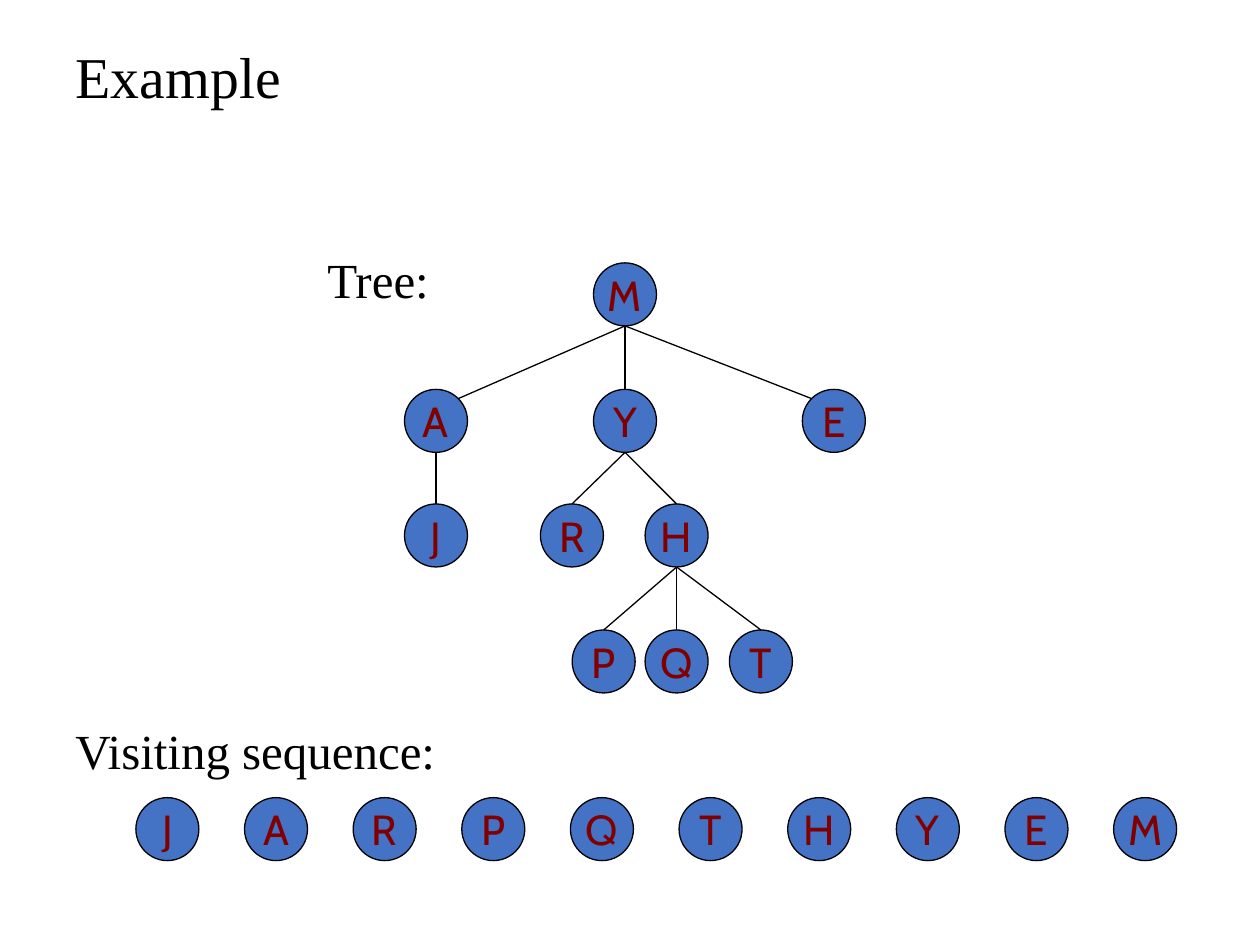
"""Build a slide showing a tree and the order in which its nodes are visited."""
from dataclasses import dataclass

from pptx import Presentation
from pptx import util as u
from pptx.dml import color
from pptx.enum import shapes, text
from pptx.oxml import ns, xmlchemy


@dataclass(frozen=True)
class Theme:
    """Colours, fonts and sizes used on the slide."""
    ink: color.RGBColor = color.RGBColor(0, 0, 0)
    node_fill: color.RGBColor = color.RGBColor(0x44, 0x72, 0xC4)
    node_text: color.RGBColor = color.RGBColor(0x80, 0, 0)
    text_font: str = "Times New Roman"
    node_font: str = "Cabin"
    title_size: int = 33
    label_size: int = 28
    node_size: int = 24
    line_width: float = 0.75


THEME = Theme()
DIAMETER = 1.27
RADIUS = DIAMETER / 2
DIAGONAL = RADIUS * 0.5 ** 0.5
ROW_TOPS = (5.3, 7.85, 10.16, 12.7)
TREE = {
    "M": (12.6, 0, "AYE"),
    "A": (8.79, 1, "J"),
    "Y": (12.6, 1, "RH"),
    "E": (16.81, 1, ""),
    "J": (8.79, 2, ""),
    "R": (11.53, 2, ""),
    "H": (13.64, 2, "PQT"),
    "P": (12.17, 3, ""),
    "Q": (13.64, 3, ""),
    "T": (15.34, 3, ""),
}
SEQUENCE = "JARPQTHYEM"
SEQUENCE_LEFT, SEQUENCE_TOP, SEQUENCE_STEP = 2.74, 16.08, 2.19


def add_span(para, wording, font, size, ink):
    """Add one formatted run to a paragraph."""
    span = para.add_run()
    span.text = wording
    span.font.name = font
    span.font.size = u.Pt(size)
    span.font.color.rgb = ink


def add_title(page, wording):
    """Place and fill the title placeholder."""
    box = page.shapes.title
    box.left, box.top, box.width, box.height = map(u.Cm, (1.27, 0.43, 22.86, 2.34))
    box.text_frame.vertical_anchor = text.MSO_ANCHOR.MIDDLE
    para = box.text_frame.paragraphs[0]
    para.alignment = text.PP_ALIGN.LEFT
    para.line_spacing = 0.9
    add_span(para, wording, THEME.text_font, THEME.title_size, THEME.ink)


def add_label(page, wording, left, top, width):
    """Add a text label."""
    box = page.shapes.add_textbox(u.Cm(left), u.Cm(top), u.Cm(width), u.Cm(1.4))
    box.text_frame.word_wrap = True
    add_span(box.text_frame.paragraphs[0], wording,
             THEME.text_font, THEME.label_size, THEME.ink)


def add_node(page, letter, left, top):
    """Add a lettered circle."""
    node = page.shapes.add_shape(shapes.MSO_SHAPE.OVAL, u.Cm(left), u.Cm(top),
                                 u.Cm(DIAMETER), u.Cm(DIAMETER))
    node.shadow.inherit = False
    node.fill.solid()
    node.fill.fore_color.rgb = THEME.node_fill
    node.line.color.rgb = THEME.ink
    node.line.width = u.Pt(THEME.line_width)
    node.text_frame.word_wrap = False
    node.text_frame.vertical_anchor = text.MSO_ANCHOR.MIDDLE
    para = node.text_frame.paragraphs[0]
    para.alignment = text.PP_ALIGN.CENTER
    add_span(para, letter, THEME.node_font, THEME.node_size, THEME.node_text)


def add_edge(page, parent, child):
    """Join the foot of a parent to the top of its child, or to its near shoulder if far aside."""
    start_x, parent_row, _ = TREE[parent]
    end_x, child_row, _ = TREE[child]
    end_y = ROW_TOPS[child_row]
    offset = end_x - start_x
    if abs(offset) > 2 * DIAMETER:
        end_x -= DIAGONAL if offset > 0 else -DIAGONAL
        end_y += RADIUS - DIAGONAL
    edge = page.shapes.add_connector(
        shapes.MSO_CONNECTOR.STRAIGHT, u.Cm(start_x),
        u.Cm(ROW_TOPS[parent_row] + DIAMETER), u.Cm(end_x), u.Cm(end_y))
    edge.line.color.rgb = THEME.ink
    edge.line.width = u.Pt(THEME.line_width)
    edge._element.spPr.append(xmlchemy.OxmlElement("a:effectLst"))


def add_tree(page):
    """Draw every node of the tree and the edges to its children."""
    for letter, (center, row, _) in TREE.items():
        add_node(page, letter, center - RADIUS, ROW_TOPS[row])
    for parent, (_, _, children) in TREE.items():
        for child in children:
            add_edge(page, parent, child)


def add_sequence(page):
    """Draw the visited nodes in one evenly spaced row."""
    for index, letter in enumerate(SEQUENCE):
        add_node(page, letter, SEQUENCE_LEFT + index * SEQUENCE_STEP, SEQUENCE_TOP)


def main():
    """Build and save the deck."""
    deck = Presentation()
    deck.slide_width, deck.slide_height = u.Cm(25.4), u.Cm(19.05)
    page = deck.slides.add_slide(deck.slide_layouts.get_by_name("Title Only"))
    add_title(page, "Example")
    add_sequence(page)
    add_tree(page)
    add_label(page, "Tree:", 6.35, 4.9, 4)
    add_label(page, "Visiting sequence:", 1.27, 14.4, 9.96)
    deck.save("out.pptx")


if __name__ == "__main__":
    main()
